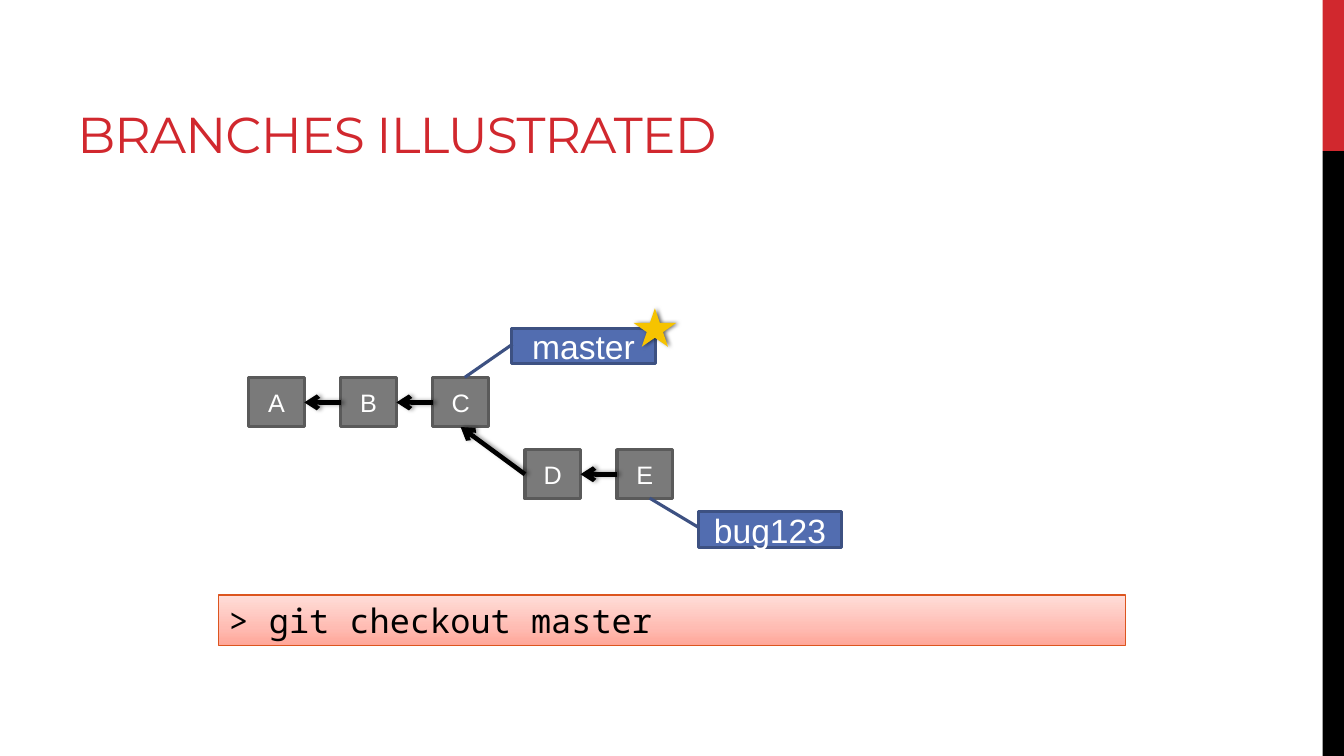
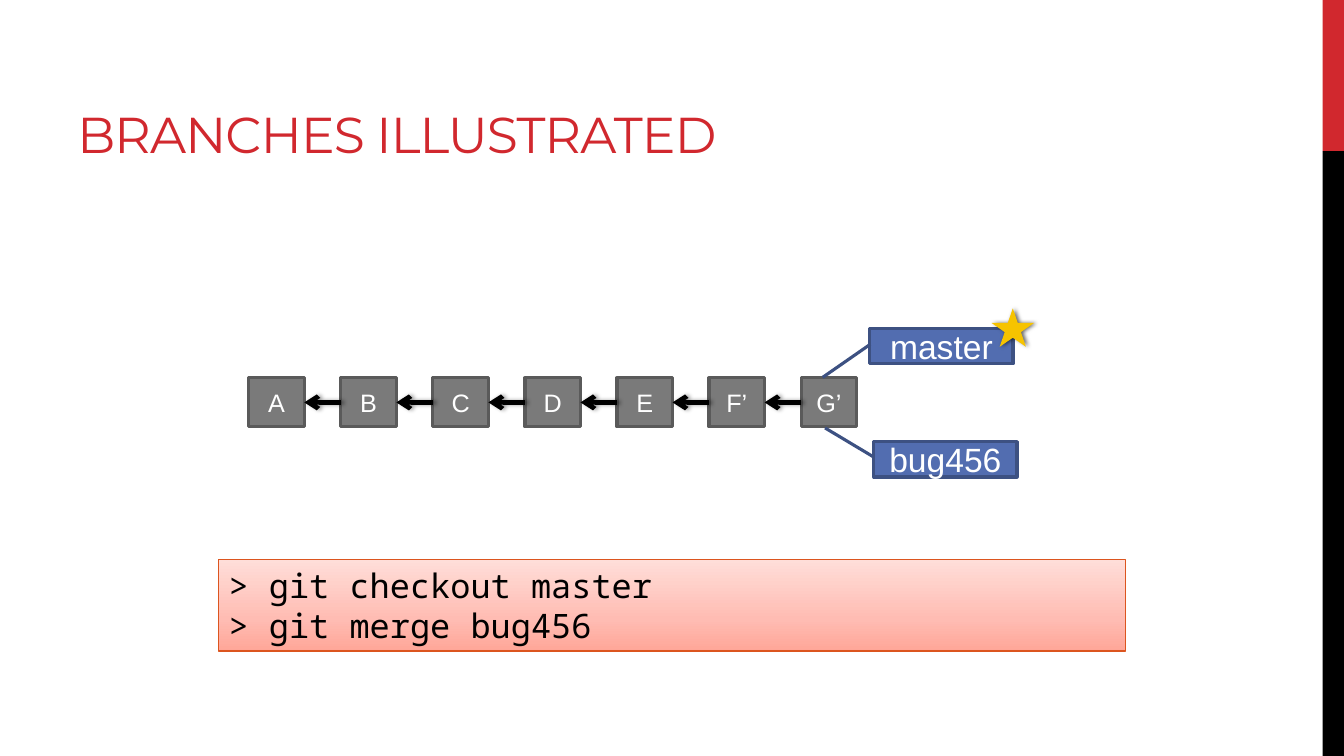
import copy
import dataclasses

import lxml.etree
import pptx
import pptx.dml.color
import pptx.enum.shapes
import pptx.enum.text
import pptx.oxml.ns
import pptx.util

Cm = pptx.util.Cm
Pt = pptx.util.Pt
ShapeKind = pptx.enum.shapes.MSO_SHAPE
Align = pptx.enum.text.PP_ALIGN
Anchor = pptx.enum.text.MSO_ANCHOR
qn = pptx.oxml.ns.qn


@dataclasses.dataclass(frozen=True)
class Theme:
    red: str = "D1282E"
    black: str = "000000"
    white: str = "FFFFFF"
    commit_fill: str = "7A7A7A"
    commit_line: str = "5A5A5A"
    branch_fill: str = "526DB0"
    branch_line: str = "3D5182"
    star: str = "F6C300"
    command_line: str = "DC551F"
    command_stops: tuple = ((0, "FFA698"), (0.35, "FFBCB3"), (1, "FFDED9"))
    title_font: str = "Montserrat"
    body_font: str = "Arial"
    code_font: str = "Noto Sans Mono"
    title_size: float = 36
    large_size: float = 24
    commit_size: float = 18
    outline: float = 2.25
    arrow: float = 3.25


THEME = Theme()

SLIDE_WIDTH, SLIDE_HEIGHT = 33.87, 19.05
BAND_WIDTH, RED_BAND_HEIGHT = 0.54, 3.81
COMMIT_LEFT, COMMIT_PITCH = 6.27, 2.32
COMMIT_WIDTH, COMMIT_HEIGHT = 1.4, 1.24
MAIN_ROW, SIDE_ROW = 9.52, 11.33
BRANCH_WIDTH, BRANCH_HEIGHT = 3.61, 0.89
MASTER_TOP = 8.28
# Callout pointers: start y, start x, end y, end x as shares of the box
POINT_DOWN = (0.446, 0.004, 1.383, -0.329)
POINT_UP = (0.446, 0.004, -0.389, -0.34)
TOP_SITE, LEFT_SITE, BOTTOM_SITE, RIGHT_SITE = range(4)


def rgb(value):
    return pptx.dml.color.RGBColor.from_string(value)


def write_text(shape, *lines, font, size, color, align=Align.LEFT,
               anchor=Anchor.TOP, spacing=None):
    """Write one paragraph per line; spacing is in hundredths of a point."""
    frame = shape.text_frame
    frame.word_wrap = True
    frame.vertical_anchor = anchor
    for index, line in enumerate(lines):
        paragraph = frame.add_paragraph() if index else frame.paragraphs[0]
        paragraph.alignment = align
        run = paragraph.add_run()
        run.text = line
        run.font.name = font
        run.font.size = Pt(size)
        run.font.color.rgb = rgb(color)
        if spacing is not None:
            run._r.get_or_add_rPr().set("spc", str(spacing))


def add_box(slide, kind, left, top, width, height, fill=None, line=None,
            line_width=THEME.outline):
    shape = slide.shapes.add_shape(
        kind, Cm(left), Cm(top), Cm(width), Cm(height))
    shape.shadow.inherit = False
    if fill:
        shape.fill.solid()
        shape.fill.fore_color.rgb = rgb(fill)
    if line:
        shape.line.color.rgb = rgb(line)
        shape.line.width = Pt(line_width)
    else:
        shape.line.fill.background()
    return shape


def add_shadow(shape, opacity, blur, distance):
    """Cast a black shadow to the right, with lengths in points."""
    properties = shape._element.spPr
    effects = properties.find(qn("a:effectLst"))
    if effects is None:
        effects = lxml.etree.SubElement(properties, qn("a:effectLst"))
    shadow = lxml.etree.SubElement(
        effects, qn("a:outerShdw"), blurRad=str(Pt(blur)),
        dist=str(Pt(distance)), dir="0", rotWithShape="0")
    color = lxml.etree.SubElement(shadow, qn("a:srgbClr"), val=THEME.black)
    lxml.etree.SubElement(color, qn("a:alpha"), val=str(opacity * 1000))


def add_commit(slide, label, column, top):
    commit = add_box(slide, ShapeKind.RECTANGLE,
                     COMMIT_LEFT + column * COMMIT_PITCH, top,
                     COMMIT_WIDTH, COMMIT_HEIGHT,
                     THEME.commit_fill, THEME.commit_line)
    write_text(commit, label, font=THEME.body_font, size=THEME.commit_size,
               color=THEME.white, align=Align.CENTER, anchor=Anchor.MIDDLE)
    return commit


def add_parent_arrow(slide, commit, parent):
    connector = slide.shapes.add_connector(
        pptx.enum.shapes.MSO_CONNECTOR.STRAIGHT, 0, 0, 0, 0)
    same_row = commit.top == parent.top
    connector.begin_connect(commit, LEFT_SITE)
    connector.end_connect(parent, RIGHT_SITE if same_row else BOTTOM_SITE)
    connector.line.color.rgb = rgb(THEME.black)
    connector.line.width = Pt(THEME.arrow)
    line = connector._element.spPr.find(qn("a:ln"))
    lxml.etree.SubElement(line, qn("a:tailEnd"), type="arrow")
    add_shadow(connector, opacity=40, blur=3.1, distance=1.8)


def add_history(slide, main_row, side_row=""):
    """Draw one commit per letter-and-mark label, each pointing at its parent."""
    parent = None
    places = ([(label, MAIN_ROW) for label in main_row]
              + [(label, SIDE_ROW) for label in side_row])
    for column, (label, top) in enumerate(places):
        commit = add_commit(slide, label, column, top)
        if parent is not None:
            add_parent_arrow(slide, commit, parent)
        parent = commit


def add_branch(slide, name, left, top, pointer):
    branch = add_box(slide, ShapeKind.LINE_CALLOUT_1, left, top,
                     BRANCH_WIDTH, BRANCH_HEIGHT,
                     THEME.branch_fill, THEME.branch_line)
    for index, value in enumerate(pointer):
        branch.adjustments[index] = value
    write_text(branch, name, font=THEME.body_font, size=THEME.large_size,
               color=THEME.white, align=Align.CENTER, anchor=Anchor.MIDDLE)


def add_current_master(slide, left):
    """Draw the master branch with the star of the checked-out branch."""
    add_branch(slide, "master", left, MASTER_TOP, POINT_DOWN)
    star = add_box(slide, ShapeKind.STAR_5_POINT, left + 3.07,
                   MASTER_TOP - 0.51, 1.07, 0.97, THEME.star)
    add_shadow(star, opacity=60, blur=3, distance=1.5)


def fill_gradient(shape, stops):
    """Fill upwards from the first stop at the bottom edge."""
    shape.fill.gradient()
    shape.fill.gradient_angle = 90
    stop_list = shape._element.spPr.find(".//" + qn("a:gsLst"))
    while len(stop_list) < len(stops):
        stop_list.append(copy.deepcopy(stop_list[0]))
    for stop, (position, color) in zip(shape.fill.gradient_stops, stops):
        stop.position = position
        stop.color.rgb = rgb(color)


def add_commands(slide, top, height, *commands):
    box = add_box(slide, ShapeKind.RECTANGLE, 5.51, top, 22.86, height,
                  line=THEME.command_line, line_width=1)
    fill_gradient(box, THEME.command_stops)
    write_text(box, *commands, font=THEME.code_font, size=THEME.large_size,
               color=THEME.black)
    box.text_frame.auto_size = pptx.enum.text.MSO_AUTO_SIZE.SHAPE_TO_FIT_TEXT


def add_base_slide(presentation, title):
    slide = presentation.slides.add_slide(presentation.slide_layouts[6])
    band_left = SLIDE_WIDTH - BAND_WIDTH
    add_box(slide, ShapeKind.RECTANGLE, band_left, 0, BAND_WIDTH,
            RED_BAND_HEIGHT, THEME.red)
    add_box(slide, ShapeKind.RECTANGLE, band_left, RED_BAND_HEIGHT, BAND_WIDTH,
            SLIDE_HEIGHT - RED_BAND_HEIGHT, THEME.black)
    title_box = slide.shapes.add_textbox(Cm(1.7), Cm(0.43), Cm(21.44), Cm(3.81))
    write_text(title_box, title, font=THEME.title_font, size=THEME.title_size,
               color=THEME.red, anchor=Anchor.BOTTOM, spacing=-60)
    return slide


def add_checkout_slide(presentation):
    slide = add_base_slide(presentation, "BRANCHES ILLUSTRATED")
    add_history(slide, ["A", "B", "C"], ["D", "E"])
    add_current_master(slide, 12.9)
    add_branch(slide, "bug123", 17.6, 12.9, POINT_UP)
    add_commands(slide, 14.99, 1.27, "> git checkout master")


def add_merge_slide(presentation):
    slide = add_base_slide(presentation, "BRANCHES ILLUSTRATED")
    add_history(slide, ["A", "B", "C", "D", "E", "F’", "G’"])
    add_current_master(slide, 21.92)
    add_branch(slide, "bug456", 22.02, 11.13, POINT_UP)
    add_commands(slide, 14.1, 2.31,
                 "> git checkout master", "> git merge bug456")


def main():
    presentation = pptx.Presentation()
    presentation.slide_width = Cm(SLIDE_WIDTH)
    presentation.slide_height = Cm(SLIDE_HEIGHT)
    add_checkout_slide(presentation)
    add_merge_slide(presentation)
    presentation.save("out.pptx")


if __name__ == "__main__":
    main()
